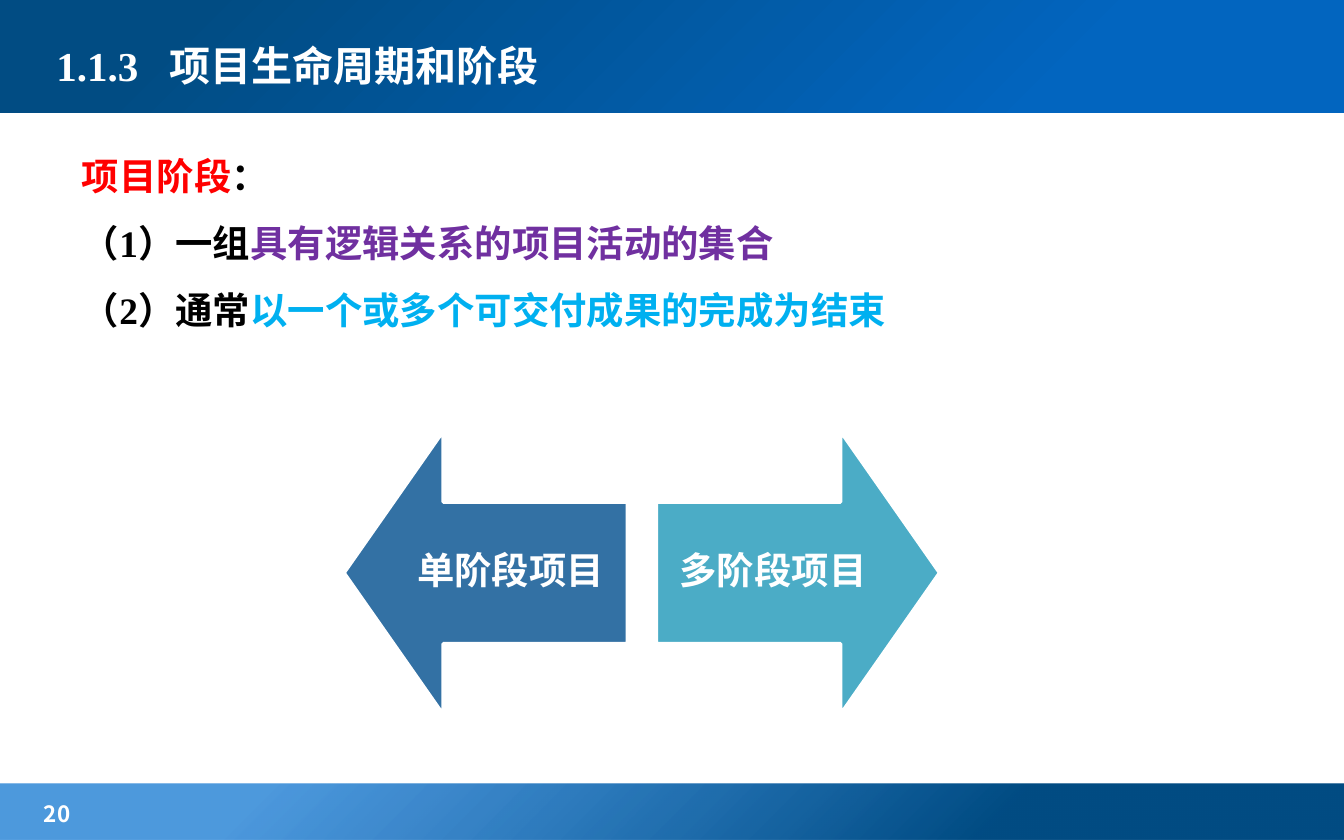
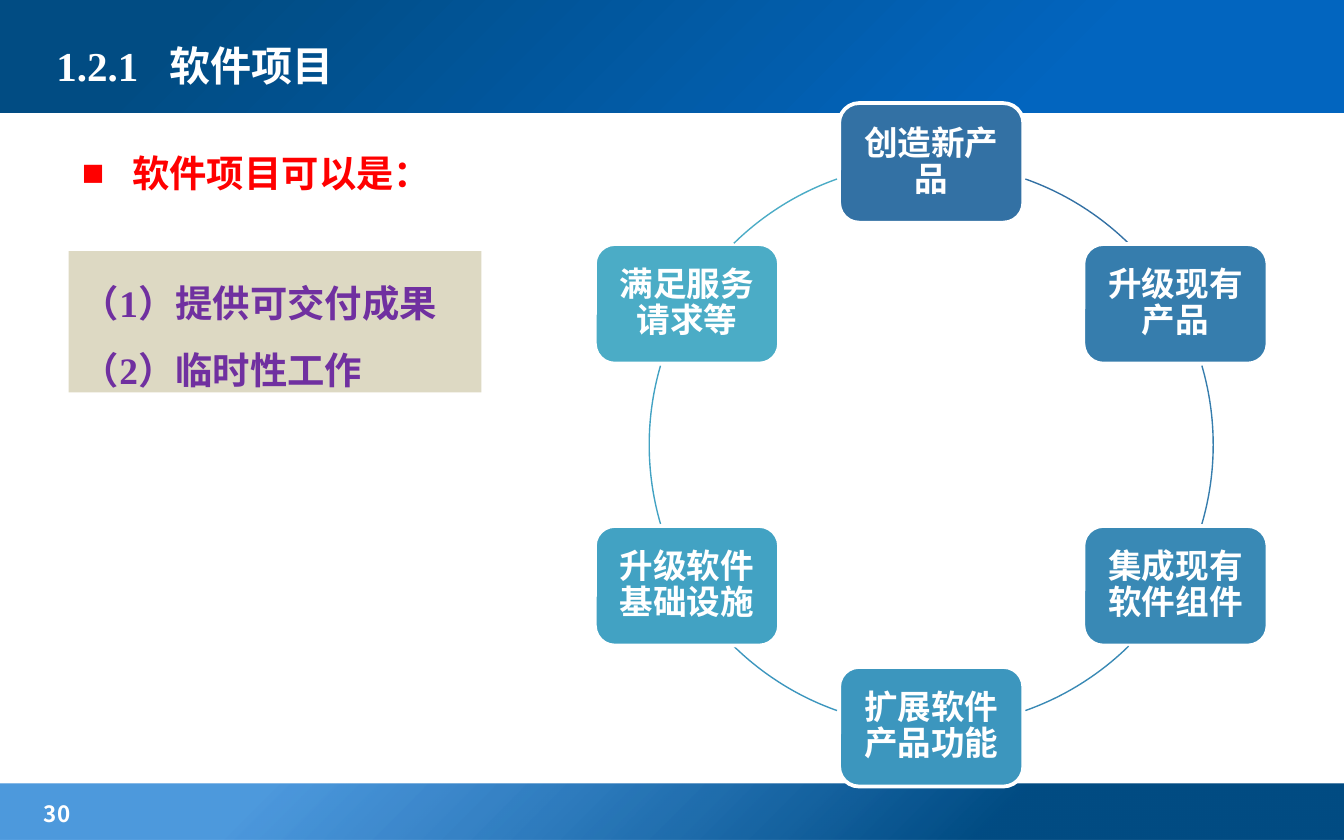
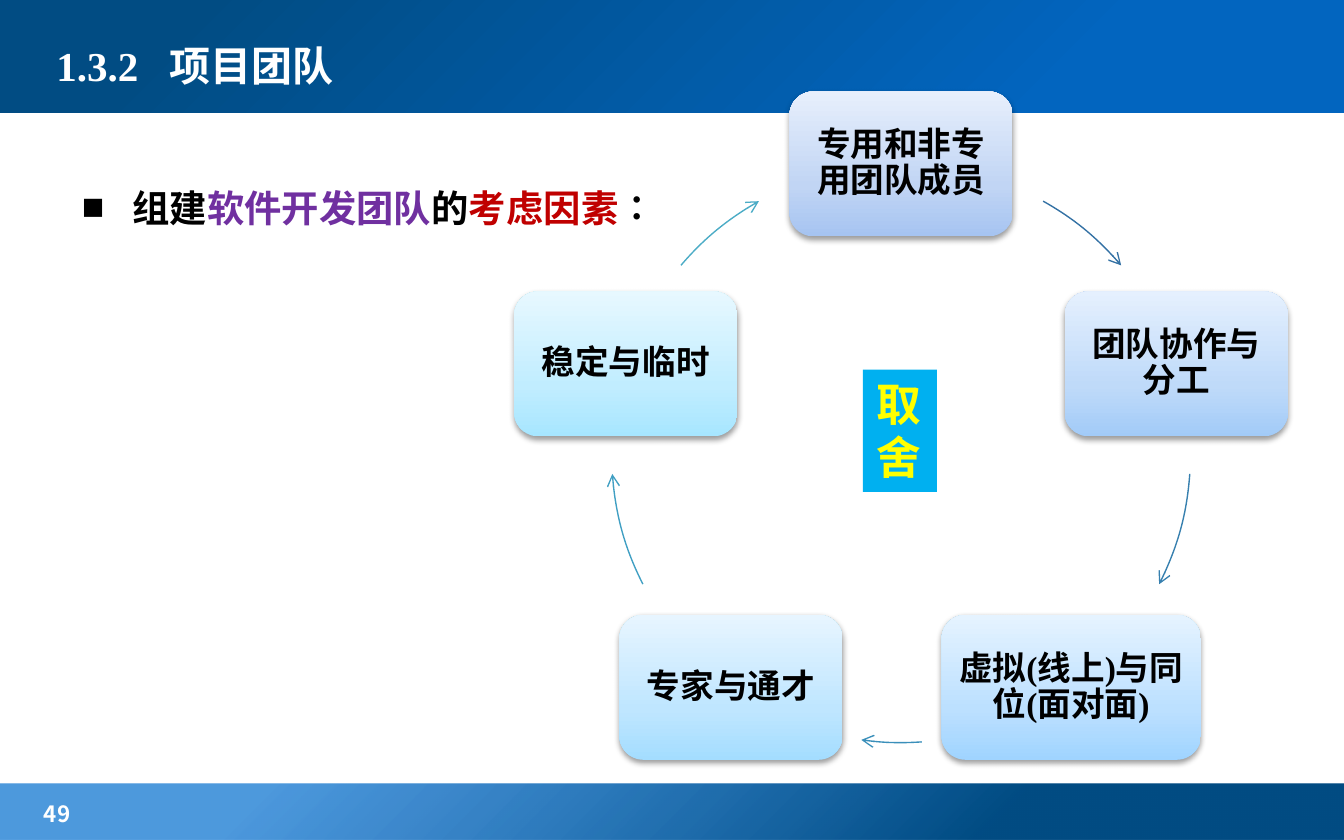
import math
from dataclasses import dataclass

from lxml import etree
from pptx import Presentation
from pptx import util as u
from pptx.dml.color import RGBColor
from pptx.enum import shapes, text
from pptx.oxml import parse_xml
from pptx.oxml.ns import nsdecls, qn


@dataclass(frozen=True)
class Theme:
    white: str = "FFFFFF"
    black: str = "000000"
    red: str = "FF0000"
    dark_red: str = "C00000"
    purple: str = "7030A0"
    sky: str = "00B0F0"
    yellow: str = "FFFF00"
    beige: str = "DDD9C3"
    navy: str = "014C83"
    royal: str = "0265BF"
    azure: str = "026DCE"
    steel: str = "3371A4"
    teal: str = "4BACC6"
    serif: str = "Times New Roman"
    sans: str = "Karla"
    chinese: str = "Noto Sans CJK SC"
    title_size: int = 22
    body_size: int = 20
    node_size: int = 18
    stress_size: int = 24
    number_size: int = 12


theme = Theme()
LEFT, CENTER = text.PP_ALIGN.LEFT, text.PP_ALIGN.CENTER


def write(shape, paragraphs, size, font=theme.serif, align=LEFT, spacing=1.0,
          anchor=text.MSO_ANCHOR.TOP, inset=None, bullet=False, tab=None):
    frame = shape.text_frame
    frame.word_wrap = True
    frame.auto_size = text.MSO_AUTO_SIZE.NONE
    frame.vertical_anchor = anchor
    if inset is not None:
        frame.margin_left = frame.margin_right = u.Cm(inset)
        frame.margin_top = frame.margin_bottom = u.Cm(inset)
    for index, runs in enumerate(paragraphs):
        para = frame.paragraphs[0] if index == 0 else frame.add_paragraph()
        para.alignment = align
        para.line_spacing = spacing
        para.space_before = u.Pt(0)
        props = para._p.get_or_add_pPr()
        if bullet:
            props.set("marL", str(u.Cm(0.95)))
            props.set("indent", str(-u.Cm(0.95)))
            etree.SubElement(props, qn("a:buFont")).set("typeface", theme.serif)
            etree.SubElement(props, qn("a:buChar")).set("char", "■")
        if tab:
            tabs = etree.SubElement(props, qn("a:tabLst"))
            stop = etree.SubElement(tabs, qn("a:tab"))
            stop.set("pos", str(u.Cm(tab)))
            stop.set("algn", "l")
        for words, color in runs:
            span = para.add_run()
            span.text = words
            span.font.size = u.Pt(size)
            span.font.bold = True
            span.font.name = font
            span.font.color.rgb = RGBColor.from_string(color)
            east_asian = etree.SubElement(span.font._element, qn("a:ea"))
            east_asian.set("typeface", theme.chinese)


def fill_gradient(shape, stops, direction):
    marks = "".join(
        f'<a:gs pos="{place * 1000}"><a:srgbClr val="{color}">'
        f'<a:alpha val="{alpha * 1000}"/></a:srgbClr></a:gs>'
        for place, color, alpha in stops)
    shape.fill.background()
    props = shape.element.spPr
    props.replace(props.find(qn("a:noFill")), parse_xml(
        f'<a:gradFill {nsdecls("a")} rotWithShape="1">'
        f'<a:gsLst>{marks}</a:gsLst>{direction}</a:gradFill>'))


deck = Presentation()
deck.slide_width, deck.slide_height = u.Cm(25.4), u.Cm(15.88)
layout = deck.slide_layouts[5]

body_texts = [
    [[("项目阶段", theme.red), ("：", theme.black)],
     [("（1）一组", theme.black), ("具有逻辑关系的项目活动的集合", theme.purple)],
     [("（2）通常", theme.black), ("以一个或多个可交付成果的完成为结束", theme.sky)]],
    [[("软件项目可以是：", theme.red)]],
    [[("组建", theme.black), ("软件开发团队", theme.purple), ("的", theme.black),
      ("考虑因素", theme.dark_red), ("∶", theme.black)]],
]
pages = []
for number, section, title, body_top, body in [
    (20, "1.1.3", "项目生命周期和阶段", 2.34, body_texts[0]),
    (30, "1.2.1", "软件项目", 2.29, body_texts[1]),
    (49, "1.3.2", "项目团队", 2.95, body_texts[2]),
]:
    page = deck.slides.add_slide(layout)
    pages.append(page)
    heading = page.shapes.title
    heading.left, heading.top = u.Cm(0.81), u.Cm(0.33)
    heading.width, heading.height = u.Cm(16.21), u.Cm(1.8)
    write(heading, [[(f"{section}\t{title}", theme.white)]], theme.title_size,
          anchor=text.MSO_ANCHOR.MIDDLE, tab=2.14)
    box = page.shapes.add_textbox(u.Cm(1.3), u.Cm(body_top), u.Cm(22.81), u.Cm(9.91))
    write(box, body, theme.body_size, spacing=1.5, bullet=len(body) == 1)
    box = page.shapes.add_textbox(u.Cm(0.58), u.Cm(15.01), u.Cm(3.92), u.Cm(0.66))
    write(box, [[(str(number), theme.white)]], theme.number_size, theme.chinese)

phase_page, project_page, team_page = pages

corner = '<a:path path="circle"><a:fillToRect l="100000" t="100000"/></a:path>'
for top, height, stops in [
    (14.81, 1.07, [(26, theme.navy, 100), (80, theme.azure, 70)]),
    (-0.08, 2.21, [(21, theme.royal, 100), (86, theme.navy, 100)]),
]:
    band = phase_page.shapes.add_shape(
        shapes.MSO_SHAPE.RECTANGLE, 0, u.Cm(top), deck.slide_width, u.Cm(height))
    band.shadow.inherit = False
    band.line.fill.background()
    fill_gradient(band, stops, corner)
    layout.shapes.element.insert(2, band.element)

for label, arrow_left, label_left, turn, color in [
    ("单阶段项目", 6.5, 7.44, 270, theme.steel),
    ("多阶段项目", 12.4, 12.4, 90, theme.teal),
]:
    arrow = phase_page.shapes.add_shape(
        shapes.MSO_SHAPE.UP_ARROW, u.Cm(arrow_left), u.Cm(8.15), u.Cm(5.36), u.Cm(5.36))
    arrow.rotation = turn
    arrow.adjustments[0], arrow.adjustments[1] = 0.5, 0.35
    arrow.shadow.inherit = False
    arrow.fill.solid()
    arrow.fill.fore_color.rgb = RGBColor.from_string(color)
    arrow.line.color.rgb = RGBColor.from_string(theme.white)
    arrow.line.width = u.Pt(2)
    box = phase_page.shapes.add_textbox(
        u.Cm(label_left), u.Cm(9.47), u.Cm(4.42), u.Cm(2.69))
    write(box, [[(label, theme.white)]], theme.body_size, theme.sans, CENTER, 0.9,
          text.MSO_ANCHOR.MIDDLE, 0.41)

project_nodes = [
    ("创造新产品", 3.48, theme.steel, theme.steel),
    ("升级现有产品", 3.48, "367DAD", "367DAD"),
    ("集成现有软件组件", 3.48, "3989B5", "3989B5"),
    ("扩展软件产品功能", 3.48, "3C96BE", "3C96BE"),
    ("升级软件基础设施", 3.48, "42A2C3", "42A2C3"),
    ("满足服务请求等", 3.48, theme.teal, theme.teal),
]
team_nodes = [
    ("专用和非专用团队成员", 4.22, ("A6C4F1", "C1D5F4", "E7EFFC"), theme.steel),
    ("团队协作与分工", 4.22, ("A2CBF8", "BFDAF9", "E5F0FE"), "3780AF"),
    ("虚拟(线上)与同位(面对面)", 4.9, ("A0D4FF", "BCE0FF", "E5F3FF"), "3A8FBA"),
    ("专家与通才", 4.22, ("A4DDFF", "BFE6FF", "E7F5FF"), "409FC3"),
    ("稳定与临时", 4.22, ("A7E6FF", "C1EDFF", "E7F8FF"), theme.teal),
]
project_arcs = [(289.5, 314.4), (343.7, 16.3), (45.6, 70.5),
                (109.5, 134.4), (163.7, 196.3), (225.6, 250.5)]
team_arcs = [(299.4, 319.5), (4.1, 26.9), (85.9, 97.9), (153.1, 175.9), (220.5, 240.6)]

for page, nodes, arcs, center_x, center_y, radius, height, raised in [
    (project_page, project_nodes, project_arcs, 17.6, 8.41, 5.33, 2.26, False),
    (team_page, team_nodes, team_arcs, 17.03, 8.57, 5.47, 2.74, True),
]:
    for index, ((label, width, fill, arc_color), ends) in enumerate(zip(nodes, arcs)):
        angle = math.tau * index / len(nodes)
        x = center_x + radius * math.sin(angle)
        y = center_y - radius * math.cos(angle)
        node = page.shapes.add_shape(
            shapes.MSO_SHAPE.ROUNDED_RECTANGLE, u.Cm(x - width / 2),
            u.Cm(y - height / 2), u.Cm(width), u.Cm(height))
        node.shadow.inherit = False
        if raised:
            node.line.fill.background()
            fill_gradient(node, zip((0, 35, 100), fill, (100, 100, 100)),
                          '<a:lin ang="16200000" scaled="1"/>')
            node.element.spPr.find(qn("a:effectLst")).append(parse_xml(
                f'<a:outerShdw {nsdecls("a")} blurRad="{u.Pt(3.1)}" dist="{u.Pt(1.6)}" '
                f'dir="5400000" rotWithShape="0"><a:srgbClr val="{theme.black}">'
                '<a:alpha val="38000"/></a:srgbClr></a:outerShdw>'))
        else:
            node.fill.solid()
            node.fill.fore_color.rgb = RGBColor.from_string(fill)
            node.line.color.rgb = RGBColor.from_string(theme.white)
            node.line.width = u.Pt(2)
        write(node, [[(label, theme.black if raised else theme.white)]], theme.node_size,
              align=CENTER, spacing=0.9, anchor=text.MSO_ANCHOR.MIDDLE, inset=0.18)

        arc = page.shapes.add_shape(
            shapes.MSO_SHAPE.ARC, u.Cm(center_x - radius), u.Cm(center_y - radius),
            u.Cm(2 * radius), u.Cm(2 * radius))
        for position, degrees in enumerate(ends):
            arc.adjustments[position] = degrees * 0.6
        arc.shadow.inherit = False
        arc.fill.background()
        arc.line.color.rgb = RGBColor.from_string(arc_color)
        arc.line.width = u.Pt(0.75)
        if raised:
            line = arc.element.spPr.find(qn("a:ln"))
            etree.SubElement(line, qn("a:tailEnd")).set("type", "arrow")

for page, place, fill, lines, color, size, spacing in [
    (project_page, (1.3, 4.75, 7.8, 2.67), theme.beige,
     ["（1）提供可交付成果", "（2）临时性工作"], theme.purple, theme.body_size, 1.5),
    (team_page, (16.31, 6.99, 1.4, 2.31), theme.sky,
     ["取舍"], theme.yellow, theme.stress_size, 1.0),
]:
    note = page.shapes.add_shape(shapes.MSO_SHAPE.RECTANGLE, *map(u.Cm, place))
    note.shadow.inherit = False
    note.fill.solid()
    note.fill.fore_color.rgb = RGBColor.from_string(fill)
    note.line.fill.background()
    write(note, [[(line, color)] for line in lines], size, spacing=spacing)

deck.save("out.pptx")
